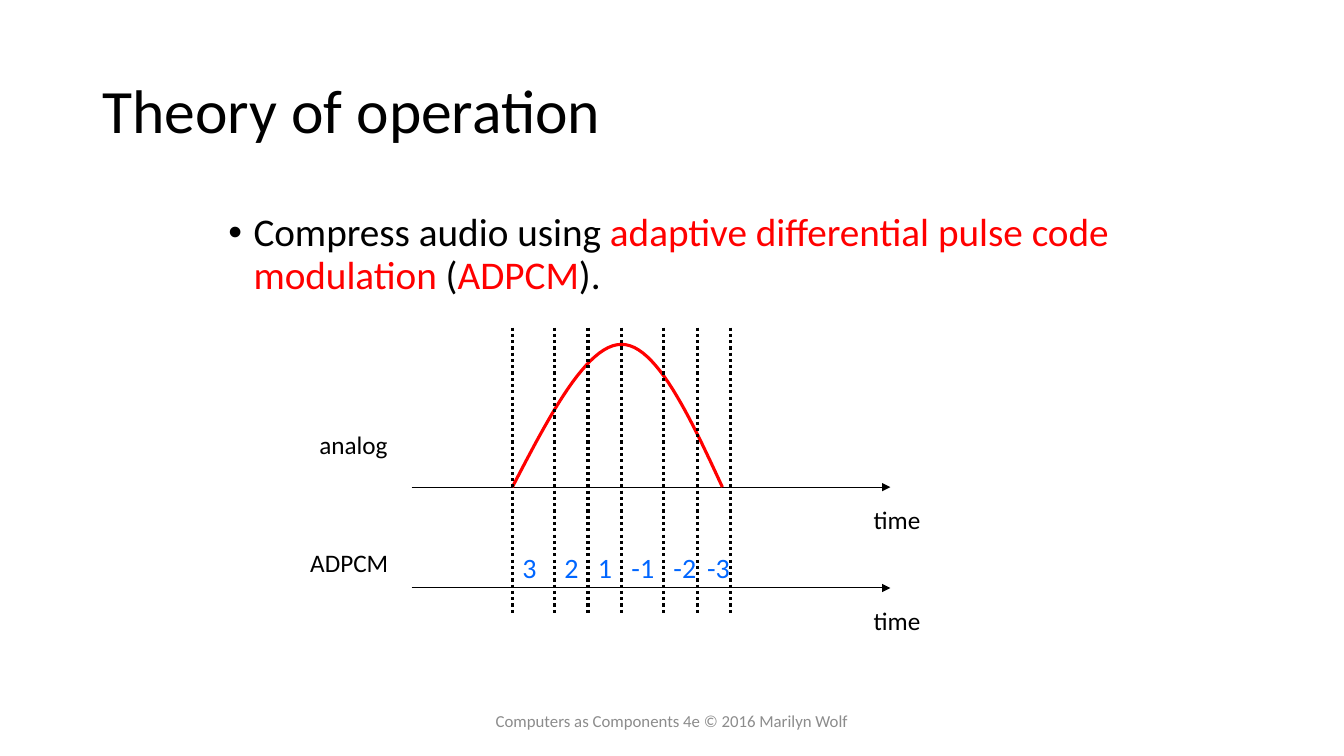
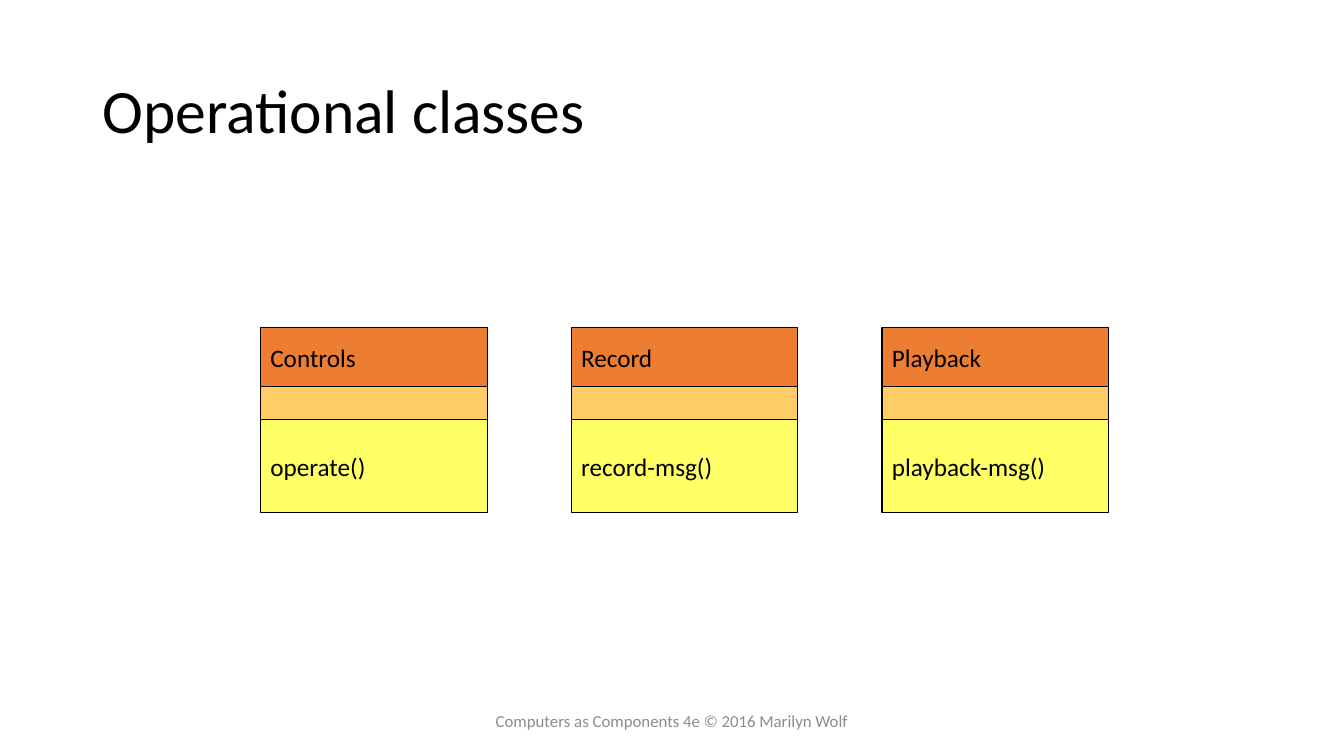
from dataclasses import dataclass
from typing import Optional

from lxml.etree import SubElement
from pptx import Presentation
from pptx.dml.color import RGBColor
from pptx.enum.dml import MSO_LINE
from pptx.enum.shapes import MSO_CONNECTOR, MSO_SHAPE
from pptx.enum.text import MSO_ANCHOR, MSO_AUTO_SIZE, PP_ALIGN
from pptx.oxml.ns import qn
from pptx.util import Pt

FONT = "Calibri"
BLACK, RED, BLUE, GRAY = "000000", "FF0000", "0066FF", "8C8C8C"
ORANGE, AMBER, YELLOW = "ED7D31", "FFCC66", "FFFF66"
FOOTER = "Computers as Components 4e © 2016 Marilyn Wolf"


@dataclass
class Label:
    text: str
    left: float
    top: float
    width: float
    height: float = 29
    size: float = 18
    color: str = BLACK


@dataclass
class ClassBox:
    name: str
    operation: str


@dataclass
class Compartment:
    text: str
    height: float
    fill: str


def rgb(color: str) -> RGBColor:
    return RGBColor.from_string(color)


def set_font(font, size: float, color: Optional[str] = BLACK) -> None:
    font.name = FONT
    font.size = Pt(size)
    if color:
        font.color.rgb = rgb(color)


def add_label(slide, label: Label, wrap: bool = False):
    shape = slide.shapes.add_textbox(
        Pt(label.left), Pt(label.top), Pt(label.width), Pt(label.height))
    shape.text_frame.word_wrap = wrap
    paragraph = shape.text_frame.paragraphs[0]
    paragraph.text = label.text
    set_font(paragraph.font, label.size, label.color)
    return shape


def add_line(slide, start: tuple[float, float], end: tuple[float, float], width: float):
    line = slide.shapes.add_connector(
        MSO_CONNECTOR.STRAIGHT, *(Pt(value) for value in start + end))
    line.line.color.rgb = rgb(BLACK)
    line.line.width = Pt(width)
    SubElement(line._element.spPr, qn("a:effectLst"))
    return line


def add_slide(presentation, title: str):
    """Add a slide with the shared title and footer."""
    slide = presentation.slides.add_slide(presentation.slide_layouts[5])
    shape = slide.shapes.title
    shape.left, shape.top, shape.width, shape.height = Pt(66), Pt(28.75), Pt(828), Pt(104.4)
    frame = shape.text_frame
    frame.text = title
    frame.auto_size = MSO_AUTO_SIZE.NONE
    frame.vertical_anchor = MSO_ANCHOR.MIDDLE
    paragraph = frame.paragraphs[0]
    paragraph.alignment = PP_ALIGN.LEFT
    paragraph.line_spacing = 0.9
    set_font(paragraph.font, 44)

    footer = add_label(slide, Label(FOOTER, 318, 500.5, 324, 28.75, 12, GRAY), wrap=True)
    footer.text_frame.vertical_anchor = MSO_ANCHOR.MIDDLE
    footer.text_frame.paragraphs[0].alignment = PP_ALIGN.CENTER
    return slide


def add_bullet(slide, runs: list[tuple[str, str]]) -> None:
    shape = slide.shapes.add_textbox(Pt(156), Pt(148.5), Pt(644), Pt(97))
    shape.text_frame.word_wrap = True
    paragraph = shape.text_frame.paragraphs[0]
    properties = paragraph._p.get_or_add_pPr()
    properties.set("marL", str(Pt(18)))
    properties.set("indent", str(-Pt(18)))
    SubElement(properties, qn("a:buFont"), typeface="Arial")
    SubElement(properties, qn("a:buChar"), char="•")
    paragraph.line_spacing = 0.9
    set_font(paragraph.font, 28, None)
    for text, color in runs:
        run = paragraph.add_run()
        run.text = text
        run.font.color.rgb = rgb(color)


def add_time_axis(slide, top: float) -> None:
    axis = add_line(slide, (294, top), (636, top), 0.75)
    SubElement(axis.line._get_or_add_ln(), qn("a:tailEnd"), type="triangle")
    add_label(slide, Label("time", 617, top + 9, 48))


def bezier(points: list[tuple[float, float]], steps: int = 24) -> list[tuple[int, int]]:
    """Sample a cubic curve, leaving out its start."""
    samples = []
    for step in range(1, steps + 1):
        t = step / steps
        weights = ((1 - t) ** 3, 3 * t * (1 - t) ** 2, 3 * t ** 2 * (1 - t), t ** 3)
        x, y = (sum(w * point[axis] for w, point in zip(weights, points)) for axis in (0, 1))
        samples.append((Pt(x), Pt(y)))
    return samples


def add_analog_wave(slide) -> None:
    base, middle, peak = 348, 297, 246
    rise = [(366, base), (392.5, middle), (419, peak), (444, peak)]
    fall = [(444, peak), (468.5, peak), (492.5, middle), (516, base)]
    builder = slide.shapes.build_freeform(Pt(366), Pt(base))
    builder.add_line_segments(bezier(rise) + bezier(fall), close=False)
    wave = builder.convert_to_shape()
    wave.shadow.inherit = False
    wave.fill.background()
    wave.line.color.rgb = rgb(RED)
    wave.line.width = Pt(2.25)


def add_class(slide, left: float, box: ClassBox) -> None:
    top = 234
    for part in (Compartment(box.name, 42, ORANGE), Compartment("", 24, AMBER),
                 Compartment(box.operation, 66, YELLOW)):
        shape = slide.shapes.add_shape(
            MSO_SHAPE.RECTANGLE, Pt(left), Pt(top), Pt(162), Pt(part.height))
        shape.shadow.inherit = False
        shape.fill.solid()
        shape.fill.fore_color.rgb = rgb(part.fill)
        shape.line.color.rgb = rgb(BLACK)
        shape.line.width = Pt(0.75)
        if part.text:
            shape.text_frame.vertical_anchor = MSO_ANCHOR.MIDDLE
            paragraph = shape.text_frame.paragraphs[0]
            paragraph.text = part.text
            paragraph.alignment = PP_ALIGN.LEFT
            set_font(paragraph.font, 18)
        top += part.height


def build_theory(presentation) -> None:
    slide = add_slide(presentation, "Theory of operation")
    add_bullet(slide, [
        ("Compress audio using ", BLACK),
        ("adaptive differential pulse code modulation", RED),
        (" (", BLACK), ("ADPCM", RED), (").", BLACK)])

    # Axes and signal
    for top in (348, 420):
        add_time_axis(slide, top)
    add_analog_wave(slide)

    # Sampling instants and the differences between them
    samples = (366, 396, 420, 444, 474, 498, 522)
    for left in samples:
        add_line(slide, (left, 234), (left, 438), 2.25).line.dash_style = MSO_LINE.ROUND_DOT
    for left, text in zip(samples, ("3", "2", "1", "-1", "-2", "-3")):
        width = 31 if text.startswith("-") else 24.5
        add_label(slide, Label(text, left, 390, width, 31.5, 20, BLUE))

    # Signal names
    add_label(slide, Label("analog", 221, 303, 64))
    add_label(slide, Label("ADPCM", 214.5, 387.5, 70.5))


def build_classes(presentation) -> None:
    slide = add_slide(presentation, "Operational classes")
    boxes = (ClassBox("Controls", "operate()"), ClassBox("Record", "record-msg()"),
             ClassBox("Playback", "playback-msg()"))
    for index, box in enumerate(boxes):
        add_class(slide, 186 + 222 * index, box)


def main() -> None:
    presentation = Presentation()
    presentation.slide_width, presentation.slide_height = Pt(960), Pt(540)
    build_theory(presentation)
    build_classes(presentation)
    presentation.save("out.pptx")


if __name__ == "__main__":
    main()
